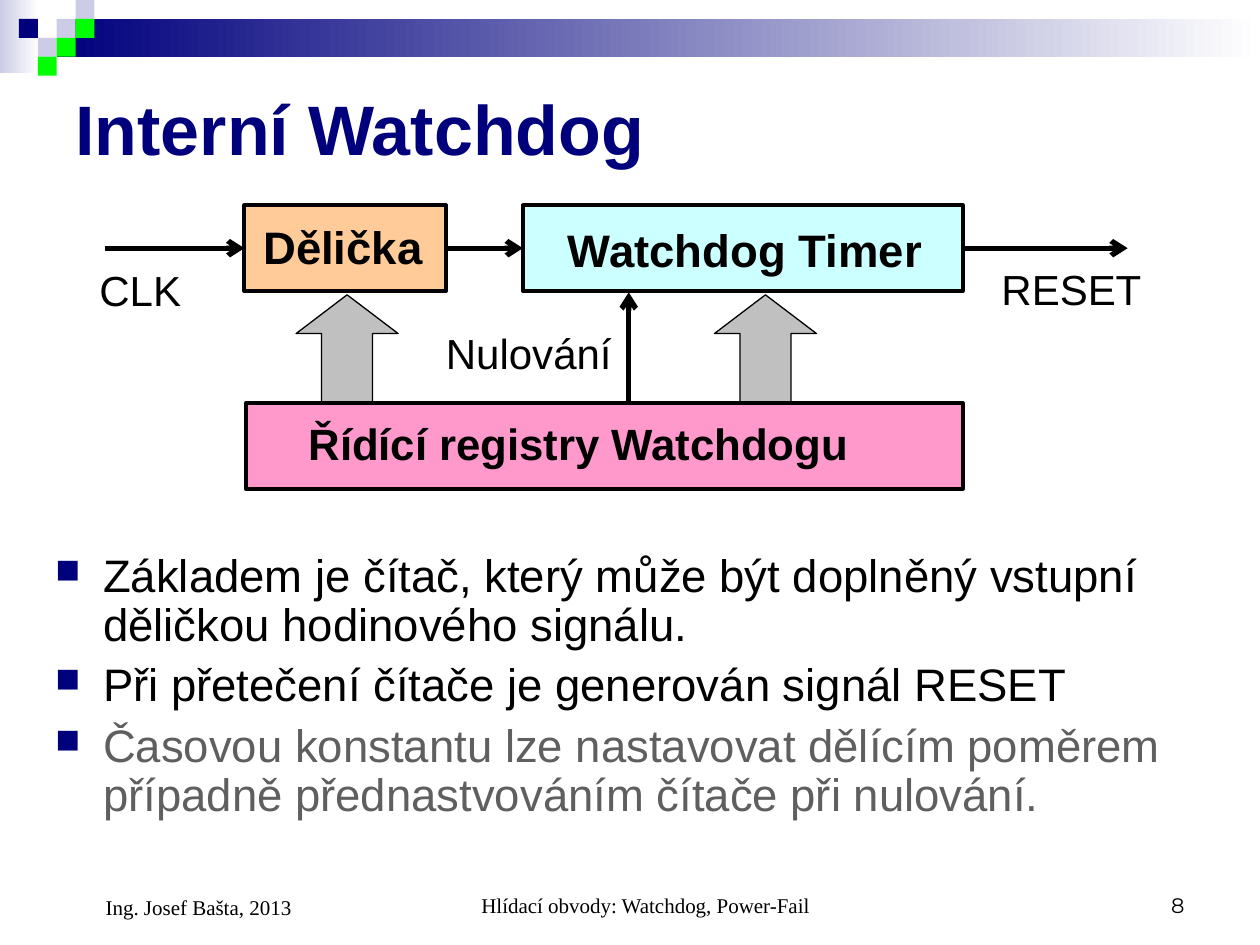
from lxml import etree
from pptx import Presentation
from pptx.dml.color import RGBColor
from pptx.enum import shapes as sh, text as tx
from pptx.oxml.ns import qn
from pptx.util import Inches, Pt

NAVY, PALE, LIME, BLACK = "00007D", "CCCCE6", "00FF00", "000000"
RECT, ARROW = sh.MSO_SHAPE.RECTANGLE, sh.MSO_SHAPE.UP_ARROW
LEFT, MID, RIGHT = tx.PP_ALIGN.LEFT, tx.PP_ALIGN.CENTER, tx.PP_ALIGN.RIGHT


def color(code):
    return RGBColor.from_string(code)


def inches(at):
    return [Inches(n) for n in at]


def shape(slide, at, fill, line=0, kind=RECT):
    item = slide.shapes.add_shape(kind, *inches(at))
    item.shadow.inherit = False
    item.fill.solid()
    item.fill.fore_color.rgb = color(fill)
    if line:
        item.line.color.rgb = color(BLACK)
        item.line.width = Pt(line)
    else:
        item.line.fill.background()
    return item


def fade(slide, at, end):
    item = shape(slide, at, end)
    item.fill.gradient()
    item.fill.gradient_angle = 180
    for stop, code, place in zip(item.fill.gradient_stops, ("FFFFFF", end), (0, 1)):
        stop.color.rgb = color(code)
        stop.position = place


def block(slide, at):
    item = shape(slide, at, "C0C0C0", 0.75, ARROW)
    item.adjustments[0] = 0.5
    item.adjustments[1] = 0.38


def wire(slide, start, end, source=None, target=None):
    item = slide.shapes.add_connector(
        sh.MSO_CONNECTOR.STRAIGHT, *inches(start + end))
    if source is not None:
        item.begin_connect(source, 3)
    if target is not None:
        item.end_connect(target, 1)
    item.line.color.rgb = color(BLACK)
    item.line.width = Pt(3)
    etree.SubElement(item.line._get_or_add_ln(), qn("a:tailEnd"), type="arrow")
    etree.SubElement(item._element.spPr, qn("a:effectLst"))


def write(para, words, size, code=BLACK, bold=False, font="Arial"):
    run = para.add_run()
    run.text = words
    run.font.name = font
    run.font.size = Pt(size)
    run.font.bold = bold
    run.font.color.rgb = color(code)


def frame(slide, at, anchor=tx.MSO_ANCHOR.TOP):
    body = slide.shapes.add_textbox(*inches(at)).text_frame
    body.word_wrap = True
    body.vertical_anchor = anchor
    return body


def label(slide, at, words, size=24, bold=False):
    write(frame(slide, at).paragraphs[0], words, size, bold=bold)


def footer(slide, at, words, align, font="Times New Roman", indent=0.24):
    para = frame(slide, at, tx.MSO_ANCHOR.BOTTOM).paragraphs[0]
    para.alignment = align
    para._p.get_or_add_pPr().set("marL", str(Inches(indent)))
    write(para, words, 12, font=font)


def bullet(para):
    props = para._p.get_or_add_pPr()
    props.set("marL", str(Inches(0.38)))
    props.set("indent", str(Inches(-0.38)))
    tint = etree.SubElement(props, qn("a:buClr"))
    etree.SubElement(tint, qn("a:srgbClr"), val=NAVY)
    etree.SubElement(props, qn("a:buSzPct"), val="75000")
    etree.SubElement(props, qn("a:buChar"), char="■")


def points(slide, at, items):
    body = frame(slide, at)
    for i, (words, code) in enumerate(items):
        para = body.add_paragraph() if i else body.paragraphs[0]
        bullet(para)
        para.line_spacing = 0.9
        if i:
            para.space_before = Pt(6.5)
        write(para, words, 26, code)


def banner(slide):
    fade(slide, (0, 0, 0.31, 0.58), PALE)
    fade(slide, (0.45, 0.15, 9.55, 0.3), NAVY)
    side = 0.15
    for col, row, code in ((3, 1, PALE), (4, 0, PALE), (4, 1, LIME), (2, 2, PALE),
                           (1, 1, NAVY), (3, 2, LIME), (2, 3, LIME)):
        shape(slide, (col * side, row * side, side, side), code)


def heading(slide, words):
    title = slide.shapes.title
    title.left, title.top, title.width, title.height = inches((0.5, 0.5, 9, 1.03))
    body = title.text_frame
    body.vertical_anchor = tx.MSO_ANCHOR.MIDDLE
    body.paragraphs[0].alignment = LEFT
    write(body.paragraphs[0], words, 40, NAVY, True)


def diagram(slide):
    for left in (2.35, 5.67):
        block(slide, (left, 2.34, 0.81, 1.23))
    wire(slide, (4.99, 3.43), (4.99, 2.32))
    timer = shape(slide, (4.15, 1.63, 3.49, 0.68), "CCFFFF", 2.25)
    shape(slide, (1.95, 3.2, 5.69, 0.68), "FF99CC", 2.25)
    split = shape(slide, (1.94, 1.63, 1.6, 0.68), "FFCC99", 2.25)
    label(slide, (4.41, 1.71, 3.07, 0.54), "Watchdog Timer", 26, True)
    label(slide, (2.35, 3.26, 4.52, 0.52), "Řídící registry Watchdogu", 25, True)
    label(slide, (1.99, 1.69, 1.51, 0.54), "Dělička", 26, True)
    wire(slide, (0.83, 1.97), (1.94, 1.97), target=split)
    wire(slide, (3.54, 1.97), (4.15, 1.97), split, timer)
    wire(slide, (7.64, 1.97), (8.95, 1.97), timer)
    label(slide, (0.69, 2.05, 0.91, 0.5), "CLK")
    label(slide, (3.44, 2.55, 1.55, 0.5), "Nulování")
    label(slide, (7.85, 2.04, 1.4, 0.5), "RESET")


def main():
    deck = Presentation()
    deck.slide_width, deck.slide_height = Inches(10), Inches(7.5)
    slide = deck.slides.add_slide(deck.slide_layouts[5])
    banner(slide)
    heading(slide, "Interní Watchdog")
    points(slide, (0.34, 4.34, 9, 2.3), (
        ("Základem je čítač, který může být doplněný vstupní "
         "děličkou hodinového signálu.", BLACK),
        ("Při přetečení čítače je generován signál RESET", BLACK),
        ("Časovou konstantu lze nastavovat dělícím poměrem "
         "případně přednastvováním čítače při nulování.", "5F5F5F")))
    diagram(slide)
    footer(slide, (3.42, 6.83, 3.17, 0.5), "Hlídací obvody: Watchdog, Power-Fail", MID)
    footer(slide, (7.17, 6.83, 2.33, 0.5), "8", RIGHT, "Montserrat", 0)
    footer(slide, (0.5, 6.83, 2.33, 0.52), "Ing. Josef Bašta, 2013", LEFT)
    deck.save("out.pptx")


if __name__ == "__main__":
    main()
